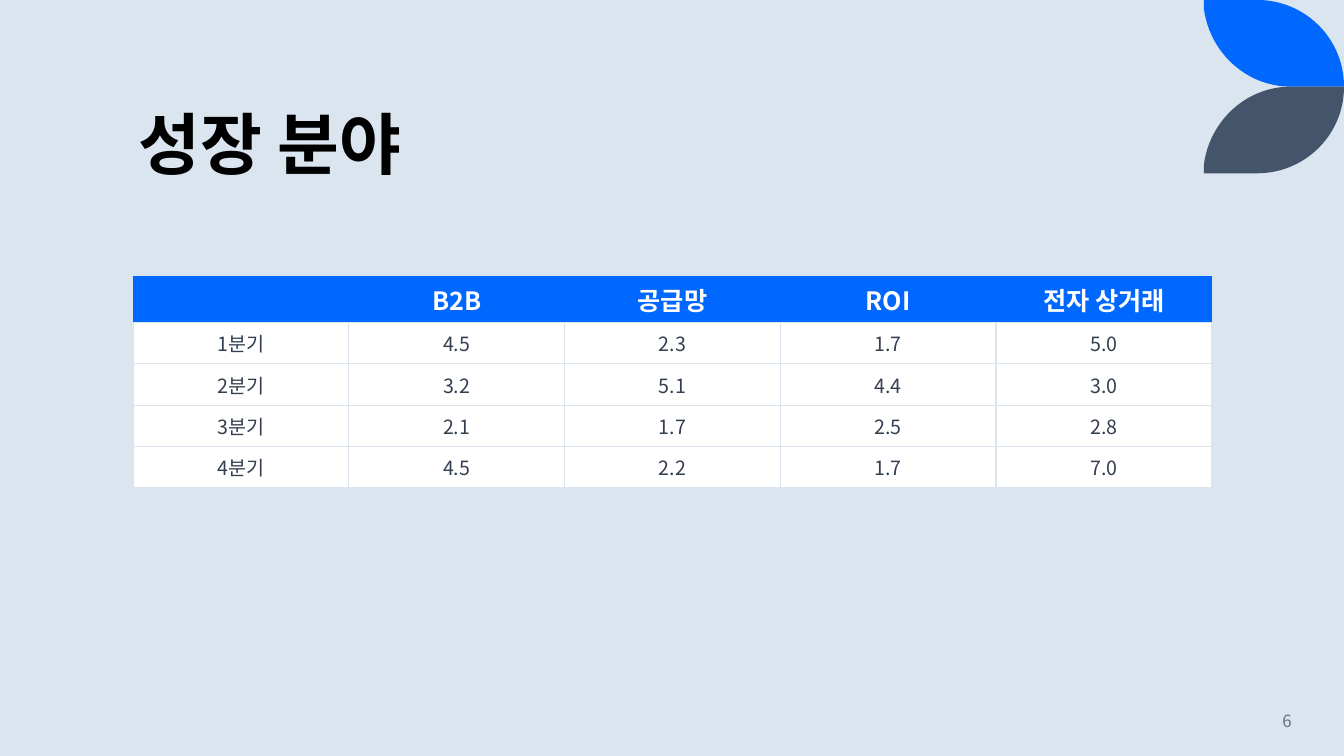
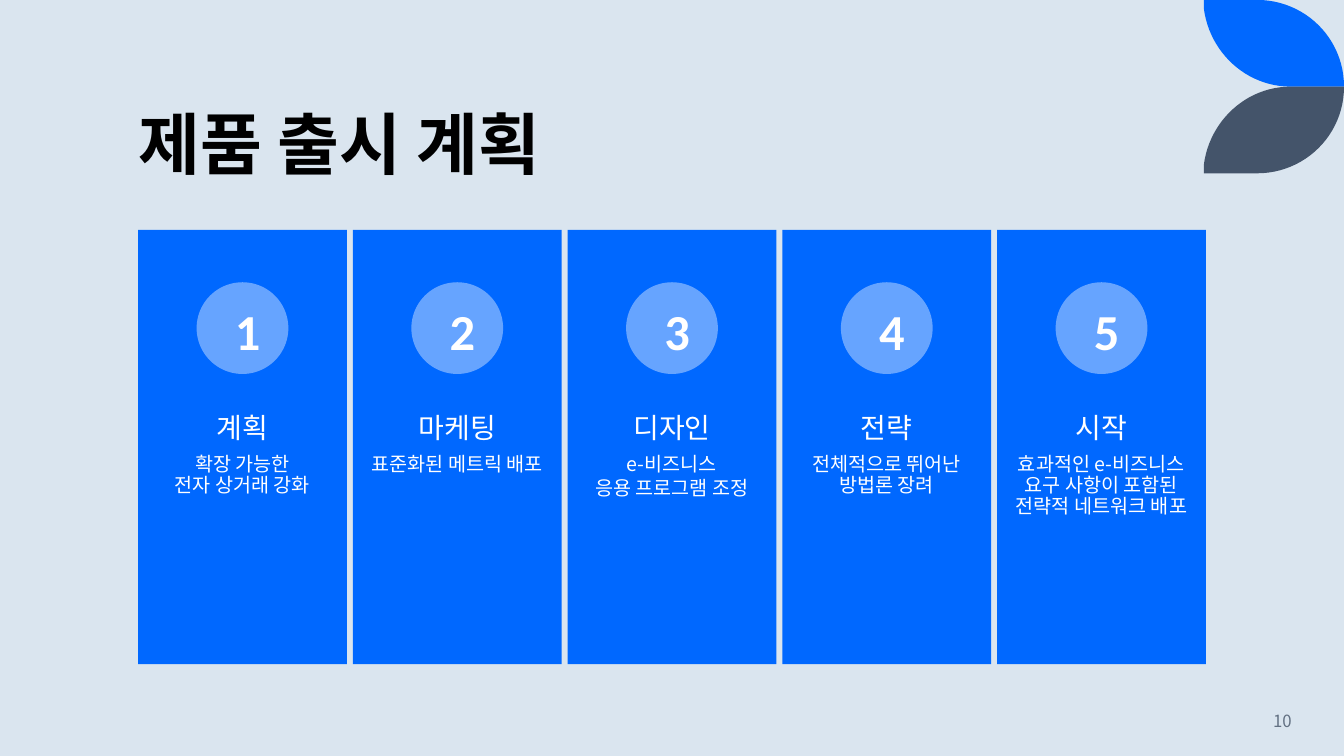
from pptx import Presentation
from pptx.dml.color import RGBColor
from pptx.enum.shapes import MSO_SHAPE
from pptx.enum.text import MSO_ANCHOR, PP_ALIGN
from pptx.oxml.ns import qn
from pptx.util import Inches, Pt
from lxml import etree

RECTANGLE, OVAL = MSO_SHAPE.RECTANGLE, MSO_SHAPE.OVAL
LEFT, CENTER, RIGHT = PP_ALIGN.LEFT, PP_ALIGN.CENTER, PP_ALIGN.RIGHT
TOP, MIDDLE, BOTTOM = MSO_ANCHOR.TOP, MSO_ANCHOR.MIDDLE, MSO_ANCHOR.BOTTOM

# Shared look
WIDTH, HEIGHT = 13.33, 7.5
PALE, BLUE, LIGHT_BLUE, SLATE = "DAE5EF", "0068FF", "66A4FF", "44546A"
WHITE, BLACK, INK, GRAY = "FFFFFF", "000000", "333F50", "637183"
BODY_FONT, NUMBER_FONT = "Noto Sans CJK KR", "Calibri"
LINE_SPACING = 0.9
TITLE_BOX = (1.28, 0.42, 10.69, 1.45)
PAGE_NUMBER_BOX = (11.1, 6.95, 1.81, 0.4)
LEAF_WIDTH, LEAF_HEIGHT = 1.39, 0.86

# Leaf outline as shares of its box: two curves, each with four control points
LEAF_CURVES = [
    [(0.38, 0), (0.72, 0), (1, 0.44), (1, 1)],
    [(0.62, 1), (0.3, 1), (0.04, 0.6), (0, 0.1)],
]
CURVE_STEPS = 24

# Table grid
TABLE_LEFT, TABLE_TOP = 1.32, 2.74
TABLE_COLUMN, TABLE_ROW, HEADER_ROW = 2.14, 0.41, 0.46
GROWTH = [
    ["", "B2B", "공급망", "ROI", "전자 상거래"],
    ["1분기", "4.5", "2.3", "1.7", "5.0"],
    ["2분기", "3.2", "5.1", "4.4", "3.0"],
    ["3분기", "2.1", "1.7", "2.5", "2.8"],
    ["4분기", "4.5", "2.2", "1.7", "7.0"],
]

# Stage columns: heading, then paragraphs made of lines
STAGE_LEFT, STAGE_TOP, STAGE_PITCH = 1.37, 2.28, 2.13
STAGE_WIDTH, STAGE_HEIGHT = 2.07, 4.31
CIRCLE = 0.91
STAGES = [
    ("계획", [["확장 가능한", "전자 상거래 강화"]]),
    ("마케팅", [["표준화된 메트릭 배포"]]),
    ("디자인", [["e-비즈니스"], ["응용 프로그램 조정"]]),
    ("전략", [["전체적으로 뛰어난 방법론 장려"]]),
    ("시작", [["효과적인 e-비즈니스 요구 사항이 포함된 전략적 네트워크 배포"]]),
]


def color(value):
    return RGBColor.from_string(value)


def inches(*values):
    return [Inches(value) for value in values]


def paint(shape, fill):
    shape.shadow.inherit = False
    shape.fill.solid()
    shape.fill.fore_color.rgb = color(fill)
    shape.line.fill.background()


def add_span(para, text, size, ink, bold=False, font=BODY_FONT):
    span = para.add_run()
    span.text = text
    span.font.size = Pt(size)
    span.font.bold = bold
    span.font.color.rgb = color(ink)
    span.font.name = font
    # East Asian characters take their font from a separate element
    etree.SubElement(span.font._element, qn("a:ea"), typeface=font)


def add_box(page, area, anchor=TOP, margin=None):
    frame = page.shapes.add_textbox(*inches(*area)).text_frame
    frame.word_wrap = True
    frame.vertical_anchor = anchor
    if margin is not None:
        frame.margin_left = frame.margin_right = Inches(margin)
        frame.margin_top = frame.margin_bottom = Inches(margin)
    return frame


def style_para(para, align, line=None, after=None):
    para.alignment = align
    if line is not None:
        para.line_spacing = line
    if after is not None:
        para.space_after = Pt(after)
    return para


def add_label(page, area, text, size, ink, align=LEFT, anchor=TOP, line=None,
              bold=False, font=BODY_FONT):
    frame = add_box(page, area, anchor)
    para = style_para(frame.paragraphs[0], align, line)
    add_span(para, text, size, ink, bold, font)


def curve_points(controls):
    for step in range(CURVE_STEPS + 1):
        t = step / CURVE_STEPS
        weights = ((1 - t) ** 3, 3 * t * (1 - t) ** 2, 3 * t * t * (1 - t), t ** 3)
        yield tuple(sum(weight * point[axis] for weight, point in zip(weights, controls))
                    for axis in (0, 1))


def add_leaf(page, top, fill, upside_down=False):
    shares = [(0, 0)] + [point for curve in LEAF_CURVES for point in curve_points(curve)]
    points = [
        inches(WIDTH - LEAF_WIDTH * (1 - x),
               top + LEAF_HEIGHT * (1 - y if upside_down else y))
        for x, y in shares
    ]
    outline = page.shapes.build_freeform(*points[0])
    outline.add_line_segments(points[1:], close=True)
    paint(outline.convert_to_shape(), fill)


def add_page(deck, title, number):
    page = deck.slides.add_slide(deck.slide_layouts[6])
    page.background.fill.solid()
    page.background.fill.fore_color.rgb = color(PALE)
    add_leaf(page, 0, BLUE)
    add_leaf(page, LEAF_HEIGHT, SLATE, upside_down=True)
    add_label(page, TITLE_BOX, title, 48, BLACK, anchor=BOTTOM, line=LINE_SPACING, bold=True)
    add_label(page, PAGE_NUMBER_BOX, str(number), 12, GRAY, RIGHT, MIDDLE)
    return page


def set_borders(cell, colors):
    properties = cell._tc.get_or_add_tcPr()
    for position, (side, value) in enumerate(colors.items()):
        line = etree.Element(qn(f"a:ln{side}"), w=str(Pt(1)))
        fill = etree.SubElement(line, qn("a:solidFill"))
        etree.SubElement(fill, qn("a:srgbClr"), val=value)
        properties.insert(position, line)


def add_growth_table(page, rows):
    columns = len(rows[0])
    area = inches(TABLE_LEFT, TABLE_TOP, TABLE_COLUMN * columns, TABLE_ROW * len(rows))
    table = page.shapes.add_table(len(rows), columns, *area).table
    table.horz_banding = False
    table.rows[0].height = Inches(HEADER_ROW)
    for row, values in enumerate(rows):
        header = row == 0
        fill, ink, size = (BLUE, WHITE, 18) if header else (WHITE, INK, 14)
        edge = BLUE if header else PALE
        for column, text in enumerate(values):
            cell = table.cell(row, column)
            cell.vertical_anchor = MIDDLE
            cell.fill.solid()
            cell.fill.fore_color.rgb = color(fill)
            set_borders(cell, {"L": edge, "R": edge, "T": edge, "B": PALE})
            if text:
                para = style_para(cell.text_frame.paragraphs[0], CENTER)
                add_span(para, text, size, ink, bold=header)


def add_stage(page, index, heading, details):
    left = STAGE_LEFT + index * STAGE_PITCH
    # Panel and circle
    panel = page.shapes.add_shape(
        RECTANGLE, *inches(left, STAGE_TOP, STAGE_WIDTH, STAGE_HEIGHT))
    paint(panel, BLUE)
    circle_left = left + (STAGE_WIDTH - CIRCLE) / 2
    circle = page.shapes.add_shape(
        OVAL, *inches(circle_left, STAGE_TOP + 0.52, CIRCLE, CIRCLE))
    paint(circle, LIGHT_BLUE)
    add_label(page, (left + 0.86, STAGE_TOP + 0.65, 0.38, 0.71), str(index + 1),
              36, WHITE, CENTER, bold=True, font=NUMBER_FONT)
    # Heading and details
    frame = add_box(page, (left, STAGE_TOP + 1.72, STAGE_WIDTH, 1.72), margin=0.11)
    para = style_para(frame.paragraphs[0], CENTER, LINE_SPACING, 7)
    add_span(para, heading, 20, WHITE)
    for lines in details:
        para = style_para(frame.add_paragraph(), CENTER, LINE_SPACING, 2)
        for number, line in enumerate(lines):
            if number:
                para.add_line_break()
            add_span(para, line, 14, WHITE)


def main():
    deck = Presentation()
    deck.slide_width, deck.slide_height = inches(WIDTH, HEIGHT)

    # Growth table
    add_growth_table(add_page(deck, "성장 분야", 6), GROWTH)

    # Launch plan
    page = add_page(deck, "제품 출시 계획", 10)
    for index, (heading, details) in enumerate(STAGES):
        add_stage(page, index, heading, details)

    deck.save("out.pptx")


if __name__ == "__main__":
    main()
